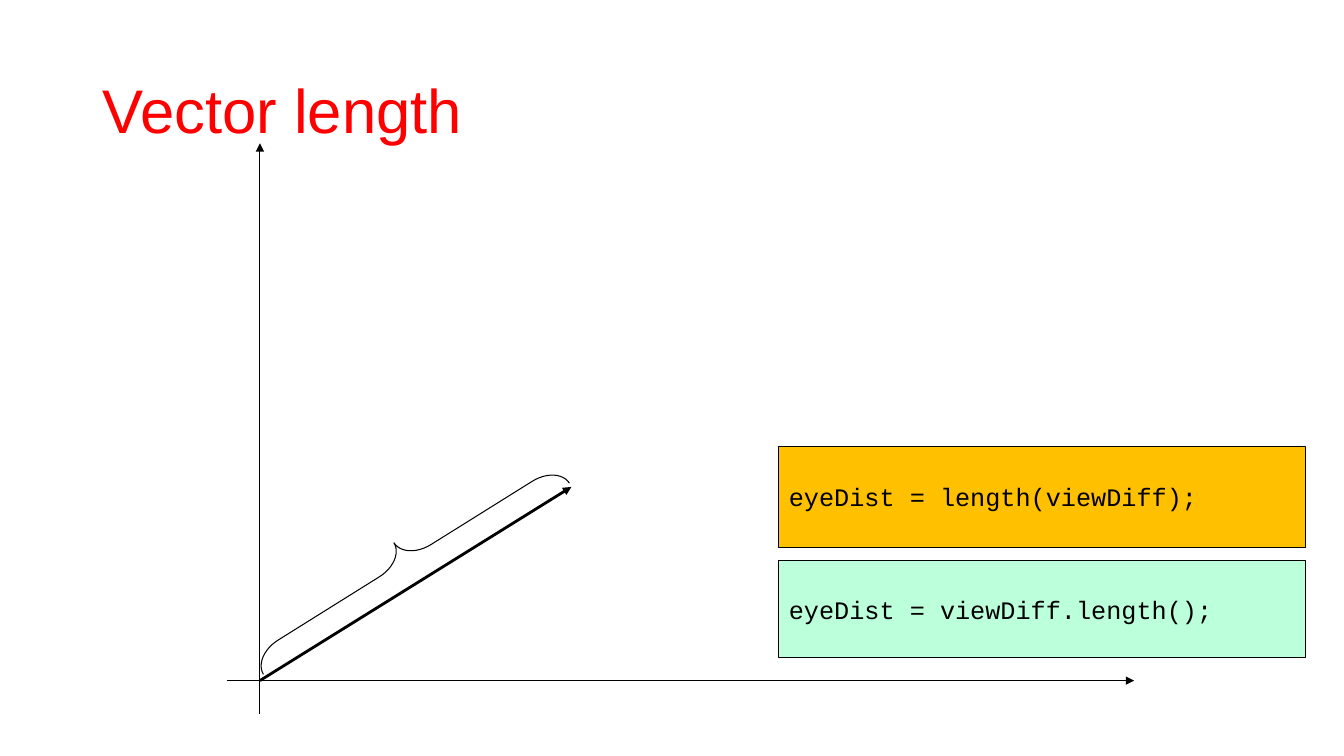
import pptx
import pptx.util
import pptx.dml.color
import pptx.enum.shapes
import pptx.enum.text
import pptx.oxml.ns
from lxml import etree
from pptx.util import Cm

COLORS = {"title": "FF0000", "ink": "000000", "function": "FFC000", "method": "BCFFDB"}
MSO_SHAPE = pptx.enum.shapes.MSO_SHAPE
qn = pptx.oxml.ns.qn


def color(name):
    return pptx.dml.color.RGBColor.from_string(COLORS[name])


def style_line(shape, width=0.75):
    shape.line.color.rgb = color("ink")
    shape.line.width = pptx.util.Pt(width)


def write(shape, text, font_name, size, color_name):
    """Put one left-aligned, vertically centred line of text in a shape."""
    frame = shape.text_frame
    frame.vertical_anchor = pptx.enum.text.MSO_ANCHOR.MIDDLE
    paragraph = frame.paragraphs[0]
    paragraph.text = text
    paragraph.alignment = pptx.enum.text.PP_ALIGN.LEFT
    font = paragraph.runs[0].font
    font.name = font_name
    font.size = pptx.util.Pt(size)
    font.color.rgb = color(color_name)


def add_title(slide, left, top, width, height):
    box = slide.shapes.add_textbox(Cm(left), Cm(top), Cm(width), Cm(height))
    box.text_frame.word_wrap = True
    write(box, "Vector length", "Arial", 44, "title")
    box.text_frame.paragraphs[0].line_spacing = 0.9


def add_arrow(slide, start, end, width=0.75):
    arrow = slide.shapes.add_connector(
        pptx.enum.shapes.MSO_CONNECTOR.STRAIGHT,
        Cm(start[0]), Cm(start[1]), Cm(end[0]), Cm(end[1]))
    style_line(arrow, width)
    etree.SubElement(arrow.line._get_or_add_ln(), qn("a:tailEnd"), type="triangle")
    etree.SubElement(arrow._element.spPr, qn("a:effectLst"))


def add_diagram(slide, left, top, width, height):
    """Draw the axes, the vector from their origin and the brace along it."""
    bottom = top + height
    x, y = left + 0.83, bottom - 0.83
    add_arrow(slide, (x, bottom), (x, top))
    add_arrow(slide, (left, y), (left + width, y))
    add_arrow(slide, (x, y), (x + 7.85, y - 4.88), 2)

    brace_width, brace_length = 1.07, 9.09
    center_x, center_y = x + 3.66, y - 3.02
    brace = slide.shapes.add_shape(
        MSO_SHAPE.LEFT_BRACE, Cm(center_x - brace_width / 2),
        Cm(center_y - brace_length / 2), Cm(brace_width), Cm(brace_length))
    brace.adjustments[0] = 0.717
    brace.rotation = 58
    brace.shadow.inherit = False
    brace.fill.background()
    style_line(brace)


def add_code_box(slide, left, top, width, height, code, fill_name):
    box = slide.shapes.add_shape(
        MSO_SHAPE.RECTANGLE, Cm(left), Cm(top), Cm(width), Cm(height))
    box.shadow.inherit = False
    box.fill.solid()
    box.fill.fore_color.rgb = color(fill_name)
    style_line(box)
    box.text_frame.word_wrap = False
    write(box, code, "Courier New", 18, "ink")


def main():
    presentation = pptx.Presentation()
    presentation.slide_width, presentation.slide_height = Cm(33.87), Cm(19.05)
    slide = presentation.slides.add_slide(presentation.slide_layouts[6])
    add_title(slide, 2.34, 1.02, 29.21, 3.68)
    add_diagram(slide, 5.72, 3.61, 22.86, 14.37)
    add_code_box(slide, 19.63, 11.25, 13.28, 2.54,
                 "eyeDist = length(viewDiff);", "function")
    add_code_box(slide, 19.63, 14.12, 13.28, 2.46,
                 "eyeDist = viewDiff.length();", "method")
    presentation.save("out.pptx")


if __name__ == "__main__":
    main()
